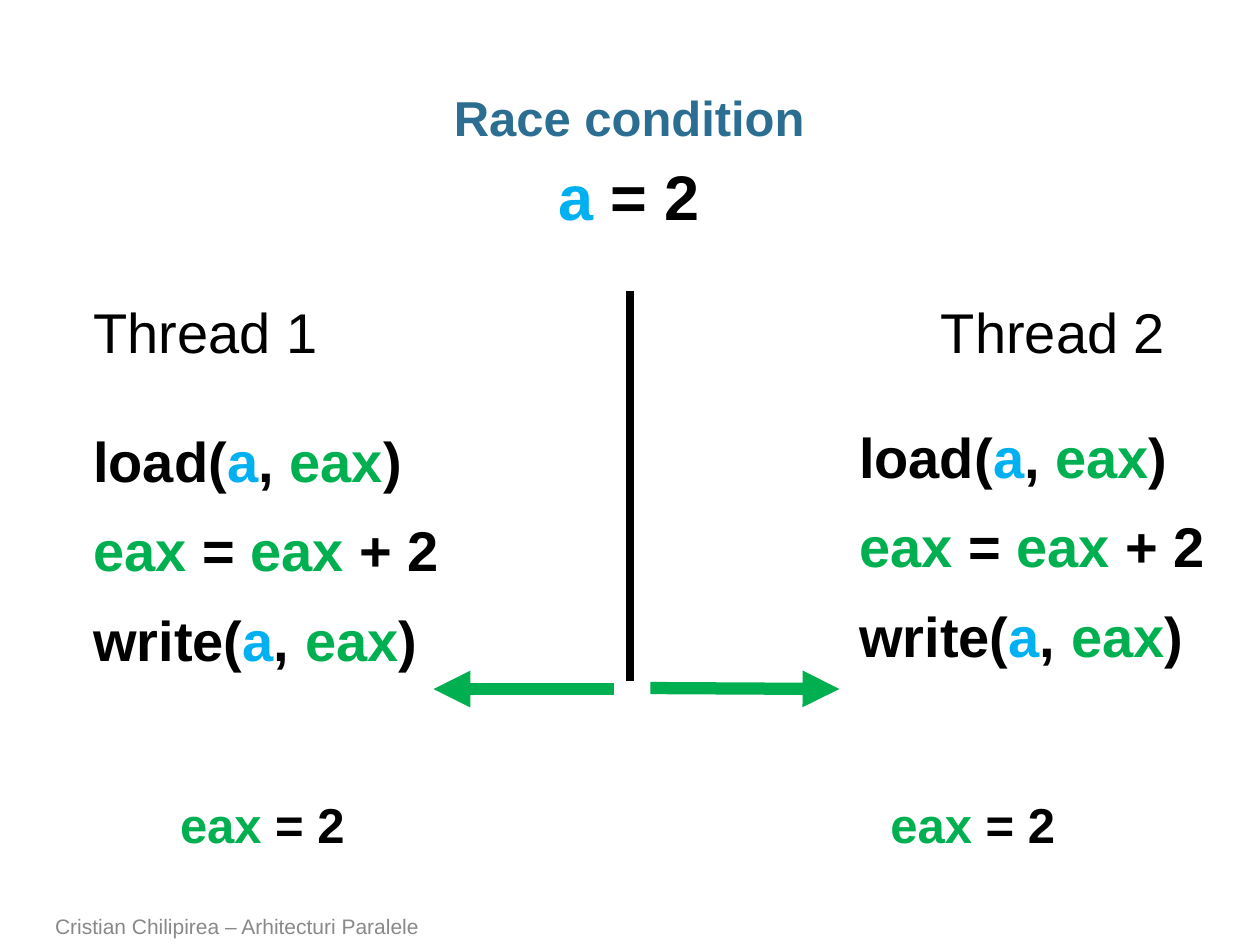
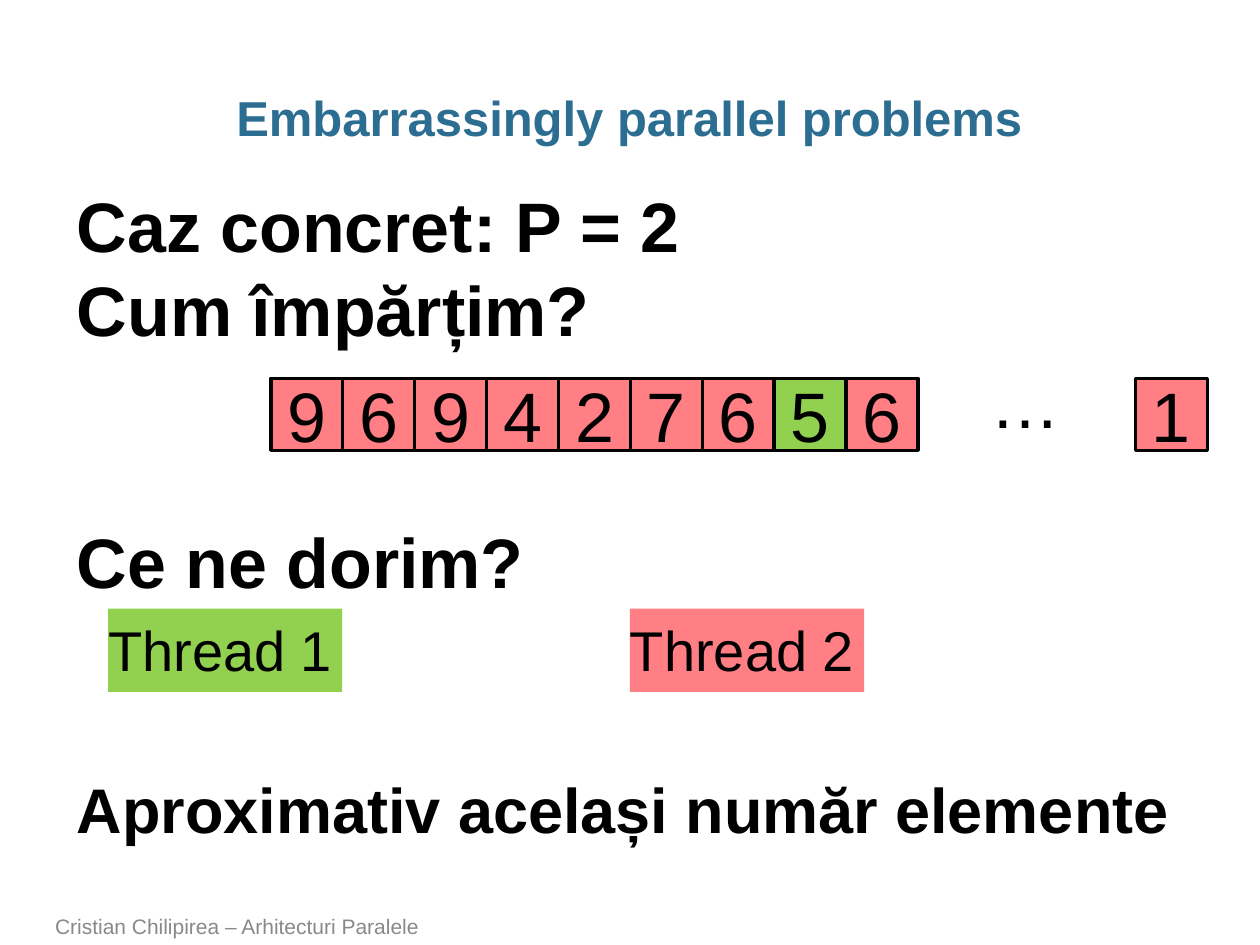
from dataclasses import dataclass
from typing import NamedTuple, Optional

from lxml.etree import SubElement
from pptx import Presentation
from pptx.dml.color import RGBColor as Rgb
from pptx.enum.shapes import MSO_CONNECTOR as Link, MSO_SHAPE as Form
from pptx.enum.text import MSO_ANCHOR as Anchor, PP_ALIGN as Align
from pptx.oxml.ns import qn
from pptx.util import Cm, Pt


@dataclass(frozen=True)
class Theme:
    font: str = "Arial"
    ink: str = "000000"
    head: str = "2C6D92"
    sky: str = "00B0F0"
    green: str = "00B050"
    lime: str = "92D050"
    rose: str = "FF7F85"
    gray: str = "898989"
    tiny: int = 12
    small: int = 28
    code: int = 32
    large: int = 36
    huge: int = 40


THEME = Theme()


class Run(NamedTuple):
    text: str
    color: str = THEME.ink


class Line(NamedTuple):
    runs: list[Run]
    size: float
    gap: float = 0


class Area(NamedTuple):
    left: float
    top: float
    width: float
    height: float


@dataclass(frozen=True)
class Box:
    area: Area
    lines: list[Line]
    bold: bool = False
    align: Align = Align.LEFT
    anchor: Anchor = Anchor.TOP
    wrap: bool = True
    inset: float = 0.25
    pitch: Optional[float] = None
    fill: Optional[str] = None
    edge: float = 0


@dataclass(frozen=True)
class Stroke:
    start: tuple[float, float]
    end: tuple[float, float]
    color: str
    width: float
    arrow: bool = False


def apply(target, values: dict) -> None:
    for name, value in values.items():
        setattr(target, name, value)


def write(frame, box: Box) -> None:
    apply(frame, {
        "word_wrap": box.wrap,
        "vertical_anchor": box.anchor,
        "margin_left": Cm(box.inset),
        "margin_right": Cm(box.inset),
        "margin_top": Cm(0.13),
        "margin_bottom": Cm(0.13),
    })
    for index, line in enumerate(box.lines):
        para = frame.add_paragraph() if index else frame.paragraphs[0]
        apply(para, {
            "alignment": box.align,
            "line_spacing": box.pitch,
            "space_before": Pt(line.gap),
        })
        for run in line.runs:
            part = para.add_run()
            part.text = run.text
            apply(part.font, {
                "name": THEME.font,
                "size": Pt(line.size),
                "bold": box.bold,
            })
            part.font.color.rgb = Rgb.from_string(run.color)


def draw_box(slide, box: Box) -> None:
    place = [Cm(value) for value in box.area]
    if box.fill:
        shape = slide.shapes.add_shape(Form.RECTANGLE, *place)
        shape.shadow.inherit = False
        shape.fill.solid()
        shape.fill.fore_color.rgb = Rgb.from_string(box.fill)
        if box.edge:
            shape.line.color.rgb = Rgb.from_string(THEME.ink)
            shape.line.width = Pt(box.edge)
        else:
            shape.line.fill.background()
    else:
        shape = slide.shapes.add_textbox(*place)
    write(shape.text_frame, box)


def draw_stroke(slide, stroke: Stroke) -> None:
    points = [Cm(value) for value in stroke.start + stroke.end]
    link = slide.shapes.add_connector(Link.STRAIGHT, *points)
    link.line.color.rgb = Rgb.from_string(stroke.color)
    link.line.width = Pt(stroke.width)
    if stroke.arrow:
        SubElement(link.line._get_or_add_ln(), qn("a:tailEnd"), type="triangle")
    SubElement(link._element.spPr, qn("a:effectLst"))


def start_slide(deck, title: str):
    slide = deck.slides.add_slide(deck.slide_layouts[6])
    draw_box(slide, Box(
        Area(0.86, 1.73, 23.65, 1.27),
        [Line([Run(title, THEME.head)], THEME.small)],
        bold=True, align=Align.CENTER, inset=0, pitch=0.95))
    draw_box(slide, Box(
        Area(0.86, 18.34, 18.72, 0.71),
        [Line([Run("Cristian Chilipirea – Arhitecturi Paralele", THEME.gray)],
              THEME.tiny)],
        anchor=Anchor.BOTTOM))
    return slide


def thread_box(number: int, area: Area, fill: Optional[str] = None) -> Box:
    text = Run(f"Thread {number}")
    return Box(area, [Line([text], THEME.code)], inset=0, fill=fill)


def race_slide(deck) -> None:
    slide = start_slide(deck, "Race condition")
    var = Run("a", THEME.sky)
    reg = Run("eax", THEME.green)
    comma, close = Run(", "), Run(")")
    gap = 0.4 * THEME.code
    code = [
        Line([Run("load("), var, comma, reg, close], THEME.code),
        Line([reg, Run(" = "), reg, Run(" + 2")], THEME.code, gap),
        Line([Run("write("), var, comma, reg, close], THEME.code, gap),
    ]
    state = [Line([reg, Run(" = 2")], THEME.small)]
    draw_box(slide, Box(
        Area(11, 3.05, 3.4, 1.8), [Line([var, Run(" = 2")], THEME.large)],
        bold=True, wrap=False))
    sides = [(1.88, 1.88, 8.46, 3.38), (18.97, 17.32, 8.38, 17.7)]
    for number, (name, left, top, result) in enumerate(sides, 1):
        draw_box(slide, thread_box(number, Area(name, 5.87, 6.58, 1.68)))
        draw_box(slide, Box(Area(left, top, 8.08, 6.25), code, bold=True, inset=0))
        draw_box(slide, Box(Area(result, 15.88, 5.33, 1.45), state, bold=True))
    for stroke in (
        Stroke((12.7, 5.87), (12.7, 13.72), THEME.ink, 5),
        Stroke((12.37, 13.89), (8.74, 13.89), THEME.green, 7, True),
        Stroke((13.11, 13.87), (16.92, 13.89), THEME.green, 7, True),
    ):
        draw_stroke(slide, stroke)


def split_slide(deck) -> None:
    slide = start_slide(deck, "Embarrassingly parallel problems")
    skip = 2 * 1.2 * THEME.huge
    draw_box(slide, Box(Area(1.3, 3.56, 23.65, 13.77), [
        Line([Run("Caz concret: P = 2")], THEME.huge),
        Line([Run("Cum împărțim?")], THEME.huge),
        Line([Run("Ce ne dorim?")], THEME.huge, skip),
        Line([Run("Aproximativ același număr elemente")], THEME.large, skip),
    ], bold=True))
    side = 1.45
    cells = [(5.46 + side * index, digit) for index, digit in enumerate("969427656")]
    for left, digit in cells + [(22.89, "1")]:
        draw_box(slide, Box(
            Area(left, 7.63, side, side), [Line([Run(digit)], THEME.huge)],
            align=Align.CENTER, anchor=Anchor.MIDDLE, edge=2,
            fill=THEME.lime if digit == "5" else THEME.rose))
    draw_box(slide, Box(
        Area(19.71, 7.09, 1.93, 1.96), [Line([Run("…")], THEME.huge)], wrap=False))
    labels = [(2.18, THEME.lime), (12.7, THEME.rose)]
    for number, (left, fill) in enumerate(labels, 1):
        draw_box(slide, thread_box(number, Area(left, 12.27, 4.72, 1.68), fill))


def main() -> None:
    deck = Presentation()
    apply(deck, {"slide_width": Cm(25.4), "slide_height": Cm(19.05)})
    race_slide(deck)
    split_slide(deck)
    deck.save("out.pptx")


if __name__ == "__main__":
    main()
